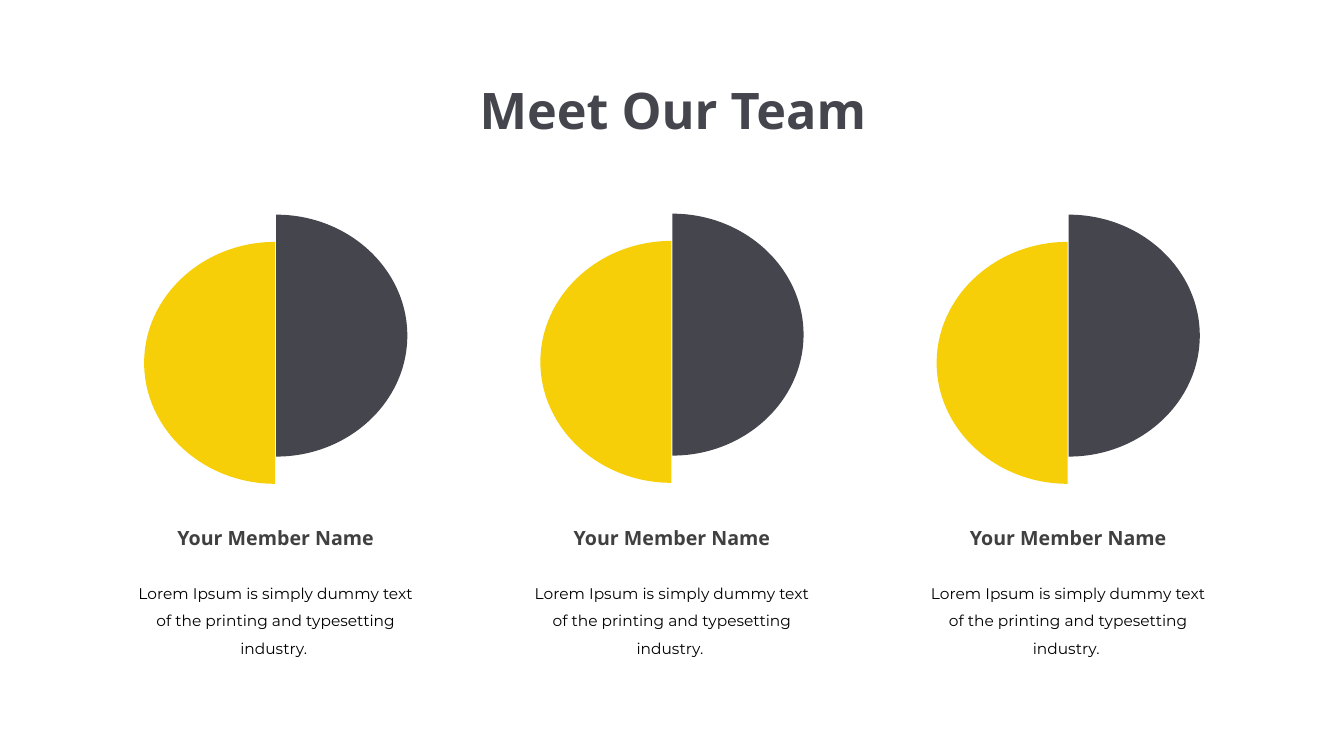
from lxml import etree
from pptx import Presentation
from pptx.dml.color import RGBColor
from pptx.enum.text import MSO_ANCHOR, PP_ALIGN
from pptx.oxml.ns import qn
from pptx.util import Inches, Pt

CENTER = PP_ALIGN.CENTER
TOP = MSO_ANCHOR.TOP

WIDTH, HEIGHT = 13.33, 7.5
MID = WIDTH / 2
PITCH = 3.93
RX, RY = 1.3, 1.2
GAP = 0.01
BEND = 0.55

DARK, GOLD, GREY, BLACK = "45454D", "F6CF08", "404040", "000000"
HEAD, BODY = "Open Sans", "Montserrat"

NAME = "Your Member Name"
ABOUT = "Lorem Ipsum is simply dummy text of the printing and typesetting industry. "
DISC_TOPS = (2.13, 2.12, 2.13)


def color(code):
    return RGBColor.from_string(code)


def place(shape, mid, top, width, height):
    """Centre a shape on the x position mid."""
    shape.left, shape.top = Inches(mid - width / 2), Inches(top)
    shape.width, shape.height = Inches(width), Inches(height)


def write(shape, text, font, size, code, bold=False, lines=1.0):
    frame = shape.text_frame
    frame.word_wrap = True
    frame.vertical_anchor = TOP
    para = frame.paragraphs[0]
    para.alignment = CENTER
    para.line_spacing = lines
    run = para.add_run()
    run.text = text
    run.font.name, run.font.size, run.font.bold = font, Pt(size), bold
    run.font.color.rgb = color(code)


def add_text(slide, mid, top, width, height, *style, **extra):
    box = slide.shapes.add_textbox(0, 0, 0, 0)
    place(box, mid, top, width, height)
    write(box, *style, **extra)


def curve(shape):
    """Turn each three line segments of an outline into one Bezier curve."""
    lines = list(shape.element.iter(qn("a:lnTo")))
    for first in range(0, len(lines), 3):
        bend = etree.Element(qn("a:cubicBezTo"))
        lines[first].addprevious(bend)
        for line in lines[first:first + 3]:
            bend.append(line[0])
            line.getparent().remove(line)


def add_half(slide, edge, top, side, code):
    """Draw half an ellipse from a straight edge; side is 1 for right, -1 for left."""
    turns = [(0, -1), (BEND, -1), (1, -BEND), (1, 0), (1, BEND), (BEND, 1), (0, 1)]
    dots = [(Inches(edge + side * RX * x), Inches(top + RY + RY * y))
            for x, y in turns]
    pen = slide.shapes.build_freeform(*dots[0])
    pen.add_line_segments(dots[1:], close=True)
    half = pen.convert_to_shape()
    curve(half)
    half.shadow.inherit = False
    half.fill.solid()
    half.fill.fore_color.rgb = color(code)
    half.line.fill.background()


def add_member(slide, mid, top):
    add_half(slide, mid + GAP / 2, top, 1, DARK)
    add_half(slide, mid - GAP / 2, top + 0.27, -1, GOLD)
    add_text(slide, mid, 5.17, 3.74, 0.34, NAME, HEAD, 14, GREY, bold=True)
    add_text(slide, mid, 5.65, 3.08, 0.93, ABOUT, BODY, 11, BLACK, lines=1.5)


def main():
    deck = Presentation()
    deck.slide_width, deck.slide_height = Inches(WIDTH), Inches(HEIGHT)
    slide = deck.slides.add_slide(deck.slide_layouts[5])
    title = slide.shapes.title
    place(title, MID + 0.01, 0.73, 8.75, 0.71)
    write(title, "Meet Our Team", HEAD, 36, DARK, bold=True)
    for col, top in enumerate(DISC_TOPS):
        add_member(slide, MID + (col - 1) * PITCH, top)
    deck.save("out.pptx")


if __name__ == "__main__":
    main()
